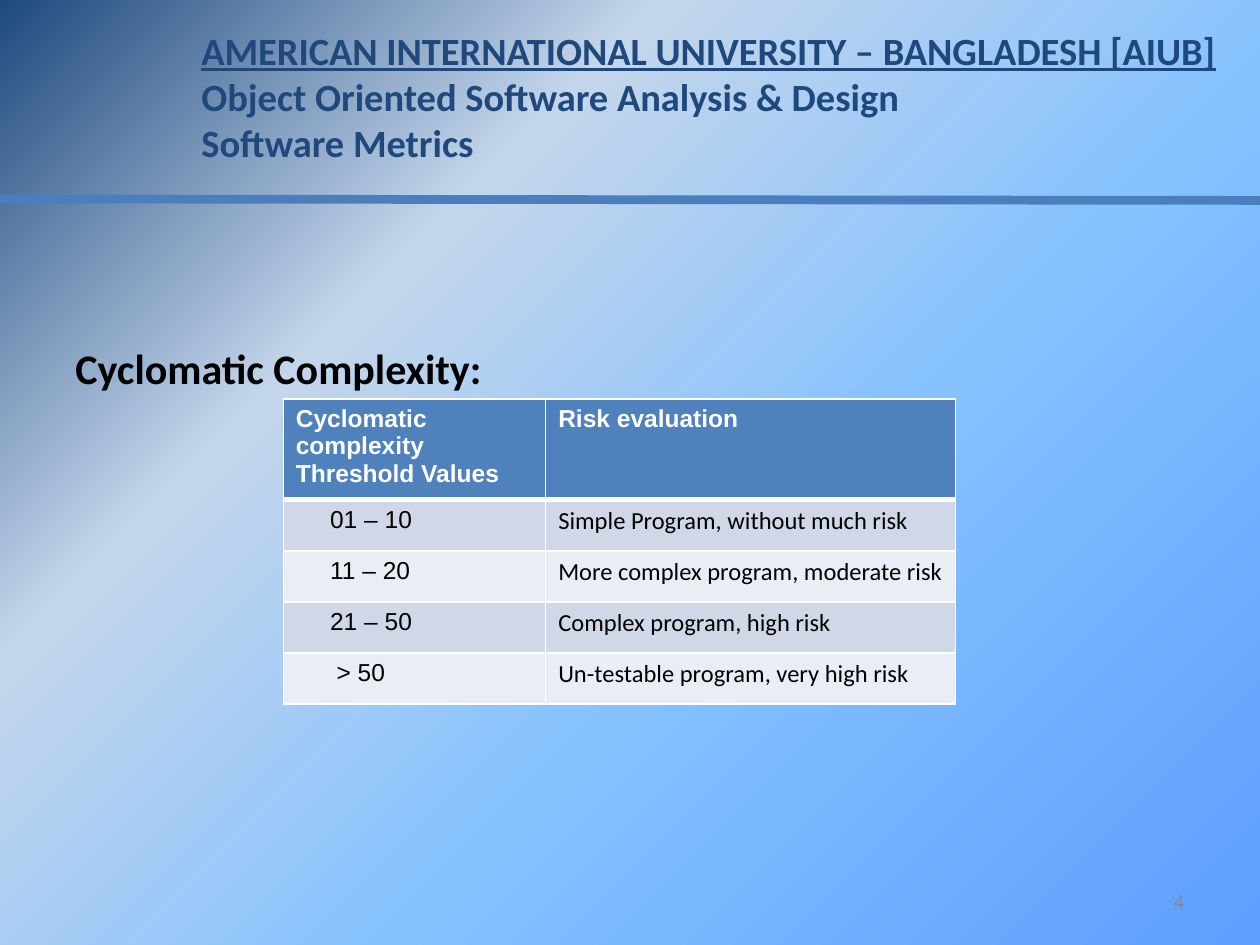
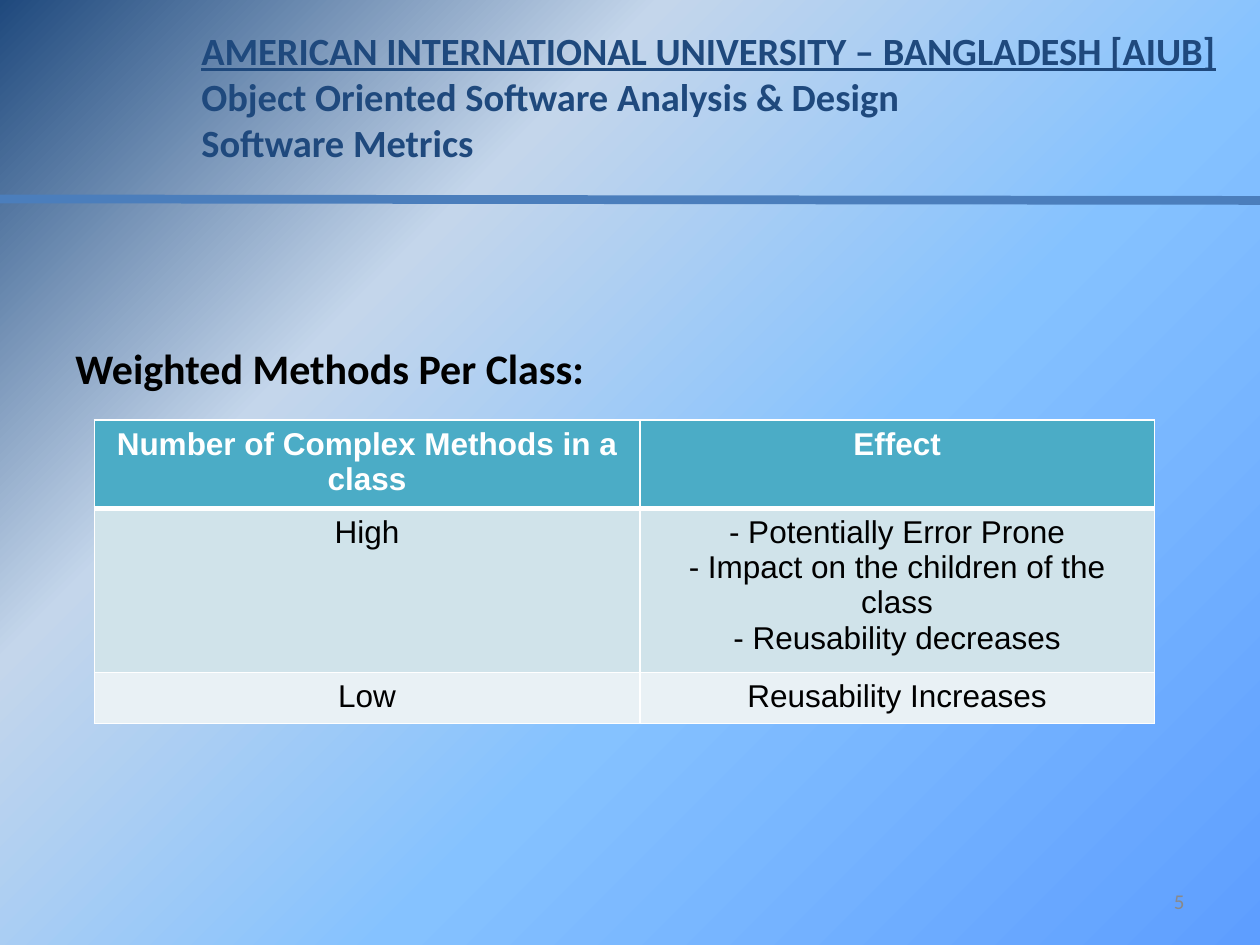
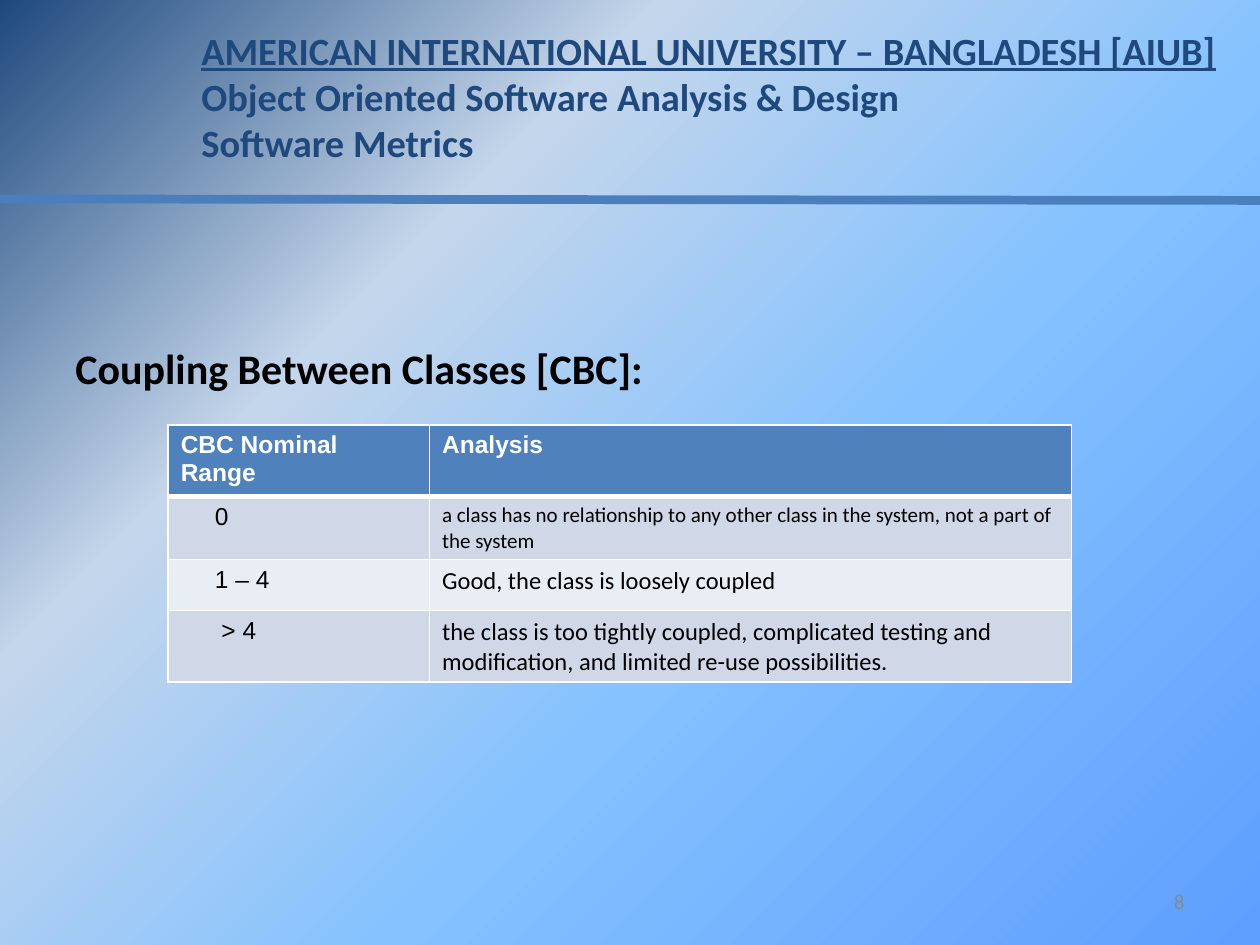
from pptx import Presentation
from pptx.dml.color import RGBColor as RGB
from pptx.enum.shapes import MSO_CONNECTOR as Connector
from pptx.enum.text import MSO_ANCHOR as Anchor, PP_ALIGN as Align
from pptx.oxml import parse_xml
from pptx.oxml.ns import nsdecls, qn
from pptx.util import Cm, Pt

COLORS = {
    "navy": "1F497D", "rule": "4B7EBC", "gray": "898989",
    "black": "000000", "white": "FFFFFF",
    "near": "5E9EFF", "sky": "85C2FF", "mist": "C4D6EB",
}
# Table fills: header, odd rows, even rows
BLUE = ("4F81BD", "D0D8E8", "E9EDF4")
TEAL = ("4BACC6", "D0E3EA", "E9F1F5")

PAGES = [
    {
        "number": "4", "heading": "Cyclomatic Complexity:", "fills": BLUE,
        "at": (5.71, 8.04), "columns": (5.29, 8.26), "heights": (1.03,) * 5,
        "size": 14, "align": Align.LEFT, "indents": (0.69, 0), "fonts": ("Arial", "Calibri"),
        "rows": [
            ("Cyclomatic complexity\nThreshold Values", "Risk evaluation"),
            ("01 – 10", "Simple Program, without much risk"),
            ("11 – 20", "More complex program, moderate risk"),
            ("21 – 50", "Complex program, high risk"),
            ("> 50", "Un-testable program, very high risk"),
        ],
    },
    {
        "number": "5", "heading": "Weighted Methods Per Class:", "fills": TEAL,
        "at": (1.9, 8.47), "columns": (11, 10.37), "heights": (1.03, 2.54, 1.03),
        "size": 18, "align": Align.CENTER, "indents": (0, 0), "fonts": ("Arial", "Arial"),
        "rows": [
            ("Number of Complex Methods in a class", "Effect"),
            ("High", "- Potentially Error Prone\n- Impact on the children of the class\n"
                     "- Reusability decreases"),
            ("Low", "Reusability Increases"),
        ],
    },
    {
        "number": "8", "heading": "Coupling Between Classes [CBC]:", "fills": BLUE,
        "at": (3.39, 8.57), "columns": (5.27, 12.94), "heights": (1.03,) * 4,
        "size": 14, "align": Align.LEFT, "indents": (0.69, 0), "fonts": ("Arial", "Calibri"),
        "small": (1, 1),
        "rows": [
            ("CBC Nominal Range", "Analysis"),
            ("0", "a class has no relationship to any other class in the system, "
                  "not a part of the system"),
            ("1 – 4", "Good, the class is loosely coupled"),
            ("> 4", "the class is too tightly coupled, complicated testing and modification, "
                    "and limited re-use possibilities."),
        ],
    },
]


def add_span(para, text, size, color, font="Calibri", bold=False, underline=False):
    span = para.add_run()
    span.text = text
    span.font.name = font
    span.font.size = Pt(size)
    span.font.bold = bold
    span.font.underline = underline
    span.font.color.rgb = RGB.from_string(COLORS[color])


def add_box(page, left, top, width, height):
    box = page.shapes.add_textbox(Cm(left), Cm(top), Cm(width), Cm(height))
    box.text_frame.word_wrap = True
    return box.text_frame


deck = Presentation()
deck.slide_width, deck.slide_height = Cm(25.4), Cm(19.05)

# Shared background: radial gradient from the bottom right corner
master = deck.slide_master
master.background.fill.gradient()
old_fill = next(master.element.iter(qn("a:gradFill")))
stops = "".join(
    f'<a:gs pos="{place * 1000}"><a:srgbClr val="{COLORS[name]}"/></a:gs>'
    for place, name in [(0, "near"), (40, "sky"), (70, "mist"), (100, "navy")])
old_fill.getparent().replace(old_fill, parse_xml(
    f'<a:gradFill {nsdecls("a")} rotWithShape="1"><a:gsLst>{stops}</a:gsLst>'
    '<a:path path="circle"><a:fillToRect l="100000" t="100000"/></a:path></a:gradFill>'))

for content in PAGES:
    page = deck.slides.add_slide(deck.slide_layouts[6])

    # Rule below the title
    rule = page.shapes.add_connector(Connector.STRAIGHT, 0, Cm(4.01), Cm(25.4), Cm(4.04))
    rule.line.color.rgb = RGB.from_string(COLORS["rule"])
    rule.line.width = Pt(5)
    rule.element.spPr.append(parse_xml(f'<a:effectLst {nsdecls("a")}/>'))

    # Course title
    title = add_box(page, 3.81, 0.42, 21.38, 3.07)
    para = title.paragraphs[0]
    add_span(para, "AMERICAN INTERNATIONAL UNIVERSITY – BANGLADESH [AIUB]", 22, "navy",
             bold=True, underline=True)
    para.add_line_break()
    add_span(para, "Object Oriented Software Analysis & Design", 22, "navy", bold=True)
    add_span(title.add_paragraph(), "Software Metrics", 22, "navy", bold=True)

    # Page number
    footer = add_box(page, 18.2, 17.66, 5.93, 1.01)
    footer.vertical_anchor = Anchor.MIDDLE
    footer.paragraphs[0].alignment = Align.RIGHT
    add_span(footer.paragraphs[0], content["number"], 12, "gray")

    # Heading
    heading = add_box(page, 1.27, 6.77, 22.86, 1.27)
    add_span(heading.paragraphs[0], content["heading"], 24, "black", bold=True)

    # Table
    left, top = content["at"]
    columns, heights, rows = content["columns"], content["heights"], content["rows"]
    table = page.shapes.add_table(len(rows), len(columns), Cm(left), Cm(top),
                                  Cm(sum(columns)), Cm(sum(heights))).table
    for column, width in zip(table.columns, columns):
        column.width = Cm(width)
    for row, height in zip(table.rows, heights):
        row.height = Cm(height)

    for r, texts in enumerate(rows):
        header = r == 0
        fill = content["fills"][0 if header else 2 - r % 2]
        for c, text in enumerate(texts):
            cell = table.cell(r, c)
            # White borders, heavy on both sides of the header's lower edge
            for side in "LRTB":
                heavy = (r, side) in [(0, "B"), (1, "T")]
                cell._tc.get_or_add_tcPr().append(parse_xml(
                    f'<a:ln{side} {nsdecls("a")} w="{Pt(3 if heavy else 1)}"><a:solidFill>'
                    f'<a:srgbClr val="{COLORS["white"]}"/></a:solidFill></a:ln{side}>'))
            cell.fill.solid()
            cell.fill.fore_color.rgb = RGB.from_string(fill)

            size = 12 if content.get("small") == (r, c) else content["size"]
            indent = 0 if header else content["indents"][c]
            if text.startswith(">"):
                indent += 0.13
            for i, line in enumerate(text.split("\n")):
                frame = cell.text_frame
                para = frame.add_paragraph() if i else frame.paragraphs[0]
                para.alignment = content["align"]
                if indent:
                    para._p.get_or_add_pPr().set("marL", str(Cm(indent)))
                add_span(para, line, size, "white" if header else "black",
                         font="Arial" if header else content["fonts"][c], bold=header)

deck.save("out.pptx")
